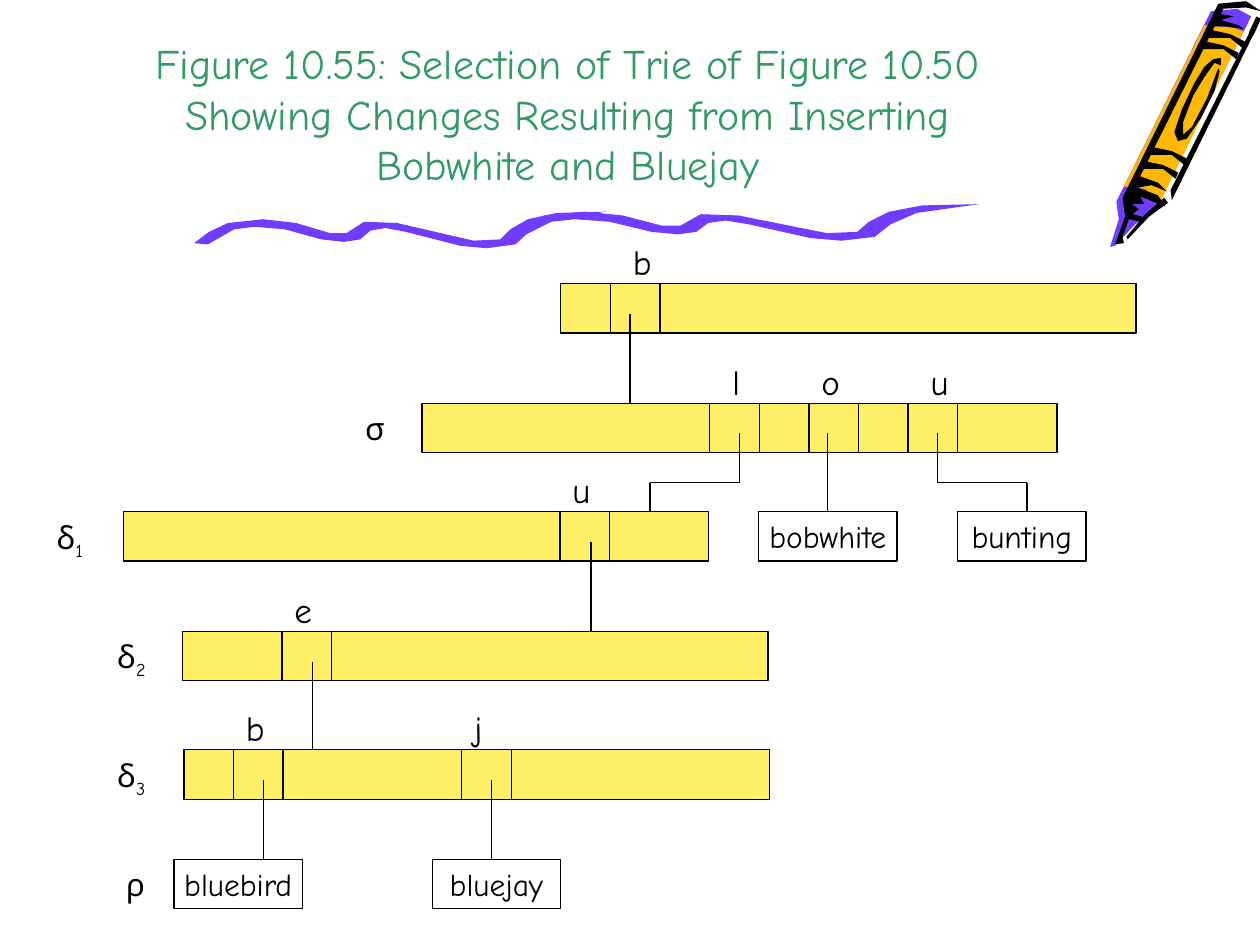
"""Build the slide showing a trie after inserting bobwhite and bluejay."""
from lxml.etree import SubElement
from pptx import Presentation
from pptx.dml.color import RGBColor
from pptx.enum.shapes import MSO_CONNECTOR, MSO_SHAPE
from pptx.enum.text import MSO_ANCHOR, MSO_AUTO_SIZE, PP_ALIGN
from pptx.oxml.ns import qn
from pptx.util import Inches, Pt

FONT = "Comic Neue"
BLACK = RGBColor(0x00, 0x00, 0x00)
GREEN = RGBColor(0x33, 0x99, 0x66)
YELLOW = RGBColor(0xFF, 0xEF, 0x66)
PURPLE = RGBColor(0x70, 0x3D, 0xFF)
ORANGE = RGBColor(0xFF, 0xB8, 0x00)

CELL = 1 / 2.54
LETTER_RISE = 0.39
LINK_INSET = 0.24
LINK_BEND = 0.63
LEVEL_TOPS = [2.25, 3.2, 4.06, 5.01, 5.95, 6.82]

presentation = Presentation()
presentation.slide_width = Inches(10)
presentation.slide_height = Inches(7.5)
slide = presentation.slides.add_slide(presentation.slide_layouts[5])
shapes = slide.shapes


def style_text(paragraph, size, color=BLACK):
    paragraph.font.name = FONT
    paragraph.font.size = Pt(size)
    paragraph.font.color.rgb = color


def add_line(start, end, weight=0.75):
    line = shapes.add_connector(MSO_CONNECTOR.STRAIGHT, Inches(start[0]), Inches(start[1]),
                                Inches(end[0]), Inches(end[1]))
    line.line.color.rgb = BLACK
    line.line.width = Pt(weight)
    SubElement(line._element.spPr, qn("a:effectLst"))
    return line


crayon_silhouette = [(9.93, 0.13), (9.17, 1.66), (9.01, 1.78), (8.85, 1.95), (8.81, 1.96),
                     (8.88, 1.74), (8.86, 1.6), (9.61, 0.09), (9.82, 0.07)]
crayon_wrapper = [(9.21, 1.6), (9.09, 1.5), (8.92, 1.48), (9.56, 0.2), (9.79, 0.22),
                  (9.87, 0.25)]
tip_edge = [(9.27, 1.61), (9.12, 1.72), (8.95, 1.9), (8.94, 1.88), (9.09, 1.7),
            (9.24, 1.57)]
end_cap = [(9.87, 0.23), (9.73, 0.21), (9.61, 0.21), (9.68, 0.11), (9.79, 0.13),
           (9.69, 0.16), (9.83, 0.2)]
wrapper_oval = [(9.68, 0.57), (9.64, 0.72), (9.53, 0.94), (9.42, 1.1), (9.35, 1.12),
                (9.32, 1.05), (9.38, 0.87), (9.48, 0.66), (9.56, 0.53), (9.63, 0.47),
                (9.69, 0.46), (9.69, 0.52), (9.64, 0.5), (9.56, 0.61), (9.47, 0.76),
                (9.39, 0.97), (9.39, 1.07), (9.46, 1.01), (9.58, 0.78), (9.67, 0.54)]
right_edge = [(9.97, 0.23), (9.3, 1.59), (9.29, 1.51), (9.93, 0.23)]
left_edge = [(9.25, 1.64), (9.19, 1.55), (9.03, 1.49), (9.14, 1.47), (9.26, 1.52),
             (9.19, 1.45), (9.05, 1.4), (9.71, 0.07), (9.89, 0.06), (10.01, 0.09),
             (9.89, 0.01), (9.67, 0.03), (8.91, 1.57), (8.93, 1.72), (8.85, 1.94),
             (8.92, 1.93), (8.91, 1.88), (8.96, 1.74), (9.05, 1.76), (9.1, 1.73),
             (8.99, 1.7), (9.04, 1.66), (8.98, 1.62), (9.08, 1.62), (9.05, 1.56)]
band = [(0.27, 0.14), (0.17, 0.06), (0, 0.06), (0.03, 0), (0.17, 0.03), (0.29, 0.09)]
band_corners = [(9.06, 1.28), (9.13, 1.17), (9.54, 0.33), (9.59, 0.24)]
wave = [(0.11, 0.26), (0.32, 0.14), (0.48, 0.12), (0.72, 0.14), (1.01, 0.22), (1.19, 0.24),
        (1.32, 0.22), (1.4, 0.15), (1.52, 0.13), (1.68, 0.16), (2.11, 0.27), (2.32, 0.29),
        (2.55, 0.26), (2.66, 0.16), (2.84, 0.07), (3.27, 0), (2.88, 0.01), (2.65, 0.06),
        (2.51, 0.14), (2.43, 0.22), (2.22, 0.23), (2, 0.18), (1.61, 0.09), (1.35, 0.08),
        (1.21, 0.17), (1.08, 0.17), (0.81, 0.09), (0.55, 0.06), (0.27, 0.09),
        (0.12, 0.16), (0, 0.25)]
wave_places = [(1.54, 1.68, 1), (4.01, 1.62, 1.15)]

drawing_parts = [(PURPLE, crayon_silhouette), (ORANGE, crayon_wrapper)]
for outline in (tip_edge, end_cap, wrapper_oval, right_edge, left_edge):
    drawing_parts.append((BLACK, outline))
for left, top in band_corners:
    drawing_parts.append((BLACK, [(left + x, top + y) for x, y in band]))
for left, top, stretch in wave_places:
    drawing_parts.append((PURPLE, [(left + x * stretch, top + y) for x, y in wave]))

for color, outline in drawing_parts:
    points = [(Inches(x), Inches(y)) for x, y in outline]
    builder = shapes.build_freeform(*points[0])
    builder.add_line_segments(points[1:], close=True)
    part = builder.convert_to_shape()
    part.shadow.inherit = False
    part.fill.solid()
    part.fill.fore_color.rgb = color
    part.line.fill.background()
add_line((9.99, 0.14), (9.93, 0.27), weight=3)

title = shapes.title
title.left, title.top = Inches(0.75), Inches(0)
title.width, title.height = Inches(7.51), Inches(1.55)
title.text_frame.text = ("Figure 10.55: Selection of Trie of Figure 10.50 "
                         "Showing Changes Resulting from Inserting Bobwhite and Bluejay")
title.text_frame.auto_size = MSO_AUTO_SIZE.NONE
title.text_frame.vertical_anchor = MSO_ANCHOR.BOTTOM
title.text_frame.paragraphs[0].alignment = PP_ALIGN.CENTER
style_text(title.text_frame.paragraphs[0], 24, GREEN)

# Each node: level, left edge, and cells as (letter, span in cells, letter shift).
trie_nodes = [
    (0, 4.45, [("", 1, 0), ("b", 1, 0.08), ("", 9.6, 0)]),
    (1, 3.35, [("", 5.8, 0), ("l", 1, 0.08), ("", 1, 0), ("o", 1, 0), ("", 1, 0),
               ("u", 1, 0.08), ("", 2, 0)]),
    (2, 0.98, [("", 8.8, 0), ("u", 1, 0), ("", 2, 0)]),
    (3, 1.45, [("", 2, 0), ("e", 1, 0), ("", 8.8, 0)]),
    (4, 1.46, [("", 1, 0), ("b", 1, 0), ("", 3.6, 0), ("j", 1, 0), ("", 5.2, 0)]),
]
words = [("bobwhite", 2, 6.02, 1.1), ("bunting", 2, 7.6, 1.02),
         ("bluebird", 5, 1.38, 1.02), ("bluejay", 5, 3.43, 1.02)]
node_names = [("σ", "", 1, 3.35, 0.55), ("δ", "1", 2, 0.98, 0.63), ("δ", "2", 3, 1.46, 0.63),
              ("δ", "3", 4, 1.46, 0.63), ("ρ", "", 5, 1.37, 0.47)]

boxes = []
labels = []
for level, left, cells in trie_nodes:
    top = LEVEL_TOPS[level]
    for letter, span, shift in cells:
        boxes.append(("", left, top, span * CELL))
        if letter:
            labels.append((letter, "", left + shift, top - LETTER_RISE, 0.31, 20))
        left += span * CELL
for word, level, left, width in words:
    boxes.append((word, left, LEVEL_TOPS[level], width))
for name, subscript, level, node_left, width in node_names:
    labels.append((name, subscript, node_left - width, LEVEL_TOPS[level], width, 18))

word_boxes = {}
for word, left, top, width in boxes:
    box = shapes.add_shape(MSO_SHAPE.RECTANGLE, Inches(left), Inches(top),
                           Inches(width), Inches(CELL))
    box.shadow.inherit = False
    box.line.color.rgb = BLACK
    box.line.width = Pt(0.75)
    if word:
        box.fill.background()
        box.text_frame.text = word
        box.text_frame.word_wrap = False
        box.text_frame.vertical_anchor = MSO_ANCHOR.MIDDLE
        box.text_frame.paragraphs[0].alignment = PP_ALIGN.CENTER
        style_text(box.text_frame.paragraphs[0], 18)
        word_boxes[word] = box
    else:
        box.fill.solid()
        box.fill.fore_color.rgb = YELLOW

links = [(0, 5, 5), (1, 5.87, 5.16), (1, 6.57, 6.57), (1, 7.44, 8.15), (2, 4.69, 4.69),
         (3, 2.48, 2.48), (4, 2.09, 2.09), (4, 3.9, 3.9)]
for level, start_x, end_x in links:
    start = (start_x, LEVEL_TOPS[level] + LINK_INSET)
    end = (end_x, LEVEL_TOPS[level + 1])
    bend_y = LEVEL_TOPS[level] + LINK_BEND
    bends = [] if start_x == end_x else [(start_x, bend_y), (end_x, bend_y)]
    corners = [start, *bends, end]
    for corner, next_corner in zip(corners, corners[1:]):
        link = add_line(corner, next_corner)
    if end_x == 6.57:
        link.end_connect(word_boxes["bobwhite"], 0)

for letter, subscript, left, top, width, size in labels:
    label = shapes.add_textbox(Inches(left), Inches(top), Inches(width), Inches(0.44))
    label.text_frame.word_wrap = True
    paragraph = label.text_frame.paragraphs[0]
    paragraph.add_run().text = letter
    if subscript:
        run = paragraph.add_run()
        run.text = subscript
        run.font._element.set("baseline", "-25000")
    style_text(paragraph, size)

presentation.save("out.pptx")
